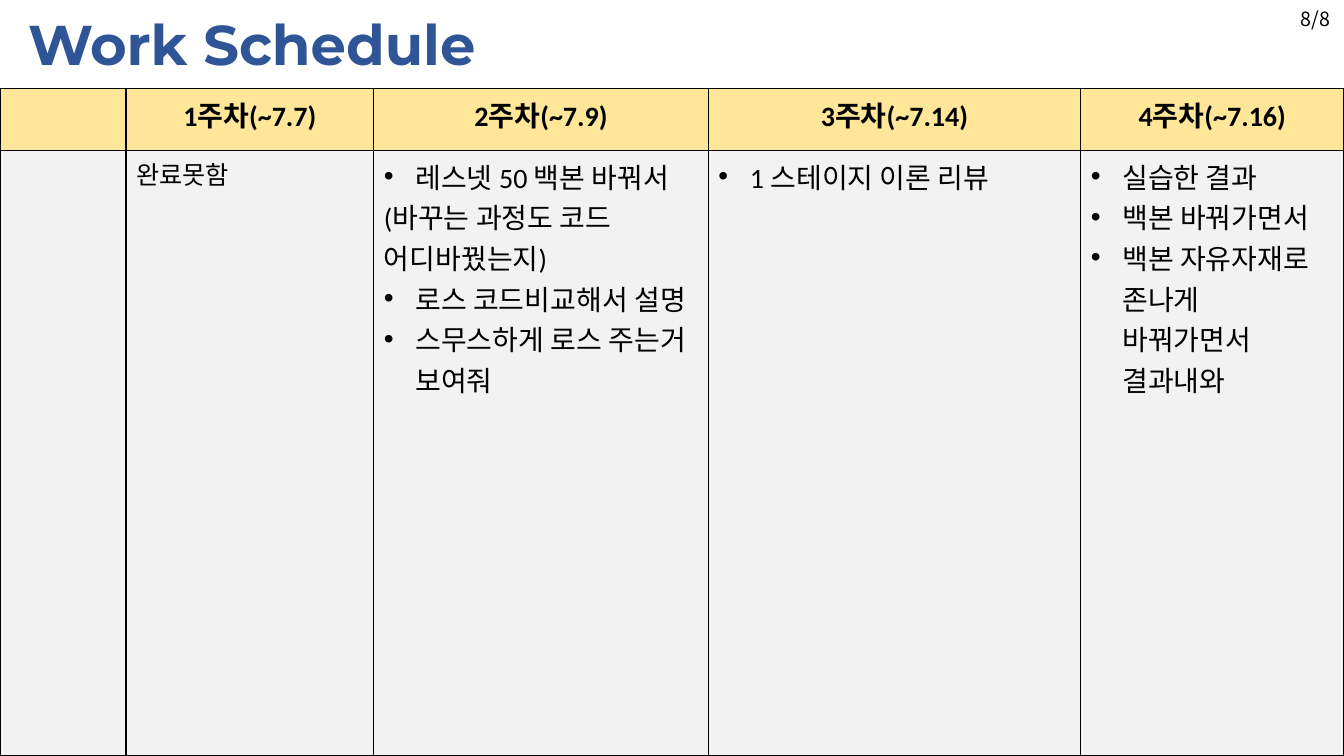
"""Build the Work Schedule slide with its weekly plan table."""
from dataclasses import dataclass

from lxml.etree import SubElement
from pptx import Presentation
from pptx.dml.color import RGBColor
from pptx.enum.text import MSO_ANCHOR, PP_ALIGN
from pptx.oxml.ns import qn
from pptx.slide import Slide
from pptx.table import Table, _Cell
from pptx.text.text import _Paragraph
from pptx.util import Pt

KOREAN_FONT = "Noto Sans CJK KR"
BLACK = "000000"
HEADER_FILL = "FFE699"
BODY_FILL = "F2F2F2"
BULLET_INDENT = 22.5
ROW_HEIGHTS = (44, 432)


@dataclass(frozen=True)
class Style:
    size: float
    font: str = "Calibri"
    color: str = BLACK
    bold: bool = False
    align: PP_ALIGN = PP_ALIGN.LEFT


@dataclass(frozen=True)
class Item:
    text: str
    bullet: bool = True


@dataclass(frozen=True)
class Week:
    width: float
    heading: str = ""
    items: tuple[Item, ...] = ()
    size: float = 20


@dataclass(frozen=True)
class Label:
    text: str
    left: float
    top: float
    width: float
    height: float
    style: Style
    anchor: MSO_ANCHOR = MSO_ANCHOR.TOP
    line_spacing: float = 1.0


LABELS = (
    Label("Work Schedule", 13, 3.6, 960, 55.4,
          Style(40, "Montserrat", "2F5597", True)),
    Label("8/8", 919.5, 0, 40.5, 25.2,
          Style(14, KOREAN_FONT, align=PP_ALIGN.CENTER), MSO_ANCHOR.BOTTOM, 0.9),
)
HEADING_STYLE = Style(20, bold=True, align=PP_ALIGN.CENTER)
WEEKS = (
    Week(90),
    Week(177, "1주차(~7.7)", (Item("완료못함", False),), 18),
    Week(239, "2주차(~7.9)", (
        Item("레스넷 50 백본 바꿔서"),
        Item("(바꾸는 과정도 코드 어디바꿨는지)", False),
        Item("로스 코드비교해서 설명"),
        Item("스무스하게 로스 주는거 보여줘"),
    )),
    Week(266, "3주차(~7.14)", (Item("1 스테이지 이론 리뷰"),)),
    Week(188, "4주차(~7.16)", (
        Item("실습한 결과"),
        Item("백본 바꿔가면서"),
        Item("백본 자유자재로 존나게 바꿔가면서 결과내와"),
    )),
)


def rgb(color: str) -> RGBColor:
    return RGBColor.from_string(color)


def write(para: _Paragraph, text: str, style: Style) -> None:
    para.text = text
    para.alignment = style.align
    for span in para.runs:
        span.font.size = Pt(style.size)
        span.font.bold = style.bold
        span.font.color.rgb = rgb(style.color)
        span.font.name = style.font
        SubElement(span.font._element, qn("a:ea"), typeface=KOREAN_FONT)


def add_bullet(para: _Paragraph) -> None:
    properties = para._p.get_or_add_pPr()
    properties.set("marL", str(Pt(BULLET_INDENT)))
    properties.set("indent", str(-Pt(BULLET_INDENT)))
    SubElement(properties, qn("a:buFont"), typeface="Arial")
    SubElement(properties, qn("a:buChar"), char="•")


def format_cell(cell: _Cell, color: str) -> None:
    properties = cell._tc.get_or_add_tcPr()
    for side in ("lnL", "lnR", "lnT", "lnB"):
        line = SubElement(properties, qn(f"a:{side}"), w=str(Pt(1)))
        fill = SubElement(line, qn("a:solidFill"))
        SubElement(fill, qn("a:srgbClr"), val=BLACK)
    cell.fill.solid()
    cell.fill.fore_color.rgb = rgb(color)


def add_label(page: Slide, label: Label) -> None:
    box = page.shapes.add_textbox(
        Pt(label.left), Pt(label.top), Pt(label.width), Pt(label.height))
    box.text_frame.word_wrap = True
    box.text_frame.vertical_anchor = label.anchor
    para = box.text_frame.paragraphs[0]
    write(para, label.text, label.style)
    para.line_spacing = label.line_spacing


def fill_week(table: Table, index: int, week: Week) -> None:
    table.columns[index].width = Pt(week.width)
    heading, body = table.cell(0, index), table.cell(1, index)
    format_cell(heading, HEADER_FILL)
    format_cell(body, BODY_FILL)
    write(heading.text_frame.paragraphs[0], week.heading, HEADING_STYLE)
    body.text_frame.text = "\n".join(item.text for item in week.items)
    for para, item in zip(body.text_frame.paragraphs, week.items):
        if item.bullet:
            add_bullet(para)
        write(para, item.text, Style(week.size))


def add_schedule(page: Slide) -> None:
    width = sum(week.width for week in WEEKS)
    table = page.shapes.add_table(
        len(ROW_HEIGHTS), len(WEEKS), Pt(0), Pt(63.5),
        Pt(width), Pt(sum(ROW_HEIGHTS))).table
    table.horz_banding = False
    for row, height in zip(table.rows, ROW_HEIGHTS):
        row.height = Pt(height)
    for index, week in enumerate(WEEKS):
        fill_week(table, index, week)


def main() -> None:
    deck = Presentation()
    deck.slide_width, deck.slide_height = Pt(960), Pt(540)
    page = deck.slides.add_slide(deck.slide_layouts[6])
    add_schedule(page)
    for label in LABELS:
        add_label(page, label)
    deck.save("out.pptx")


if __name__ == "__main__":
    main()
